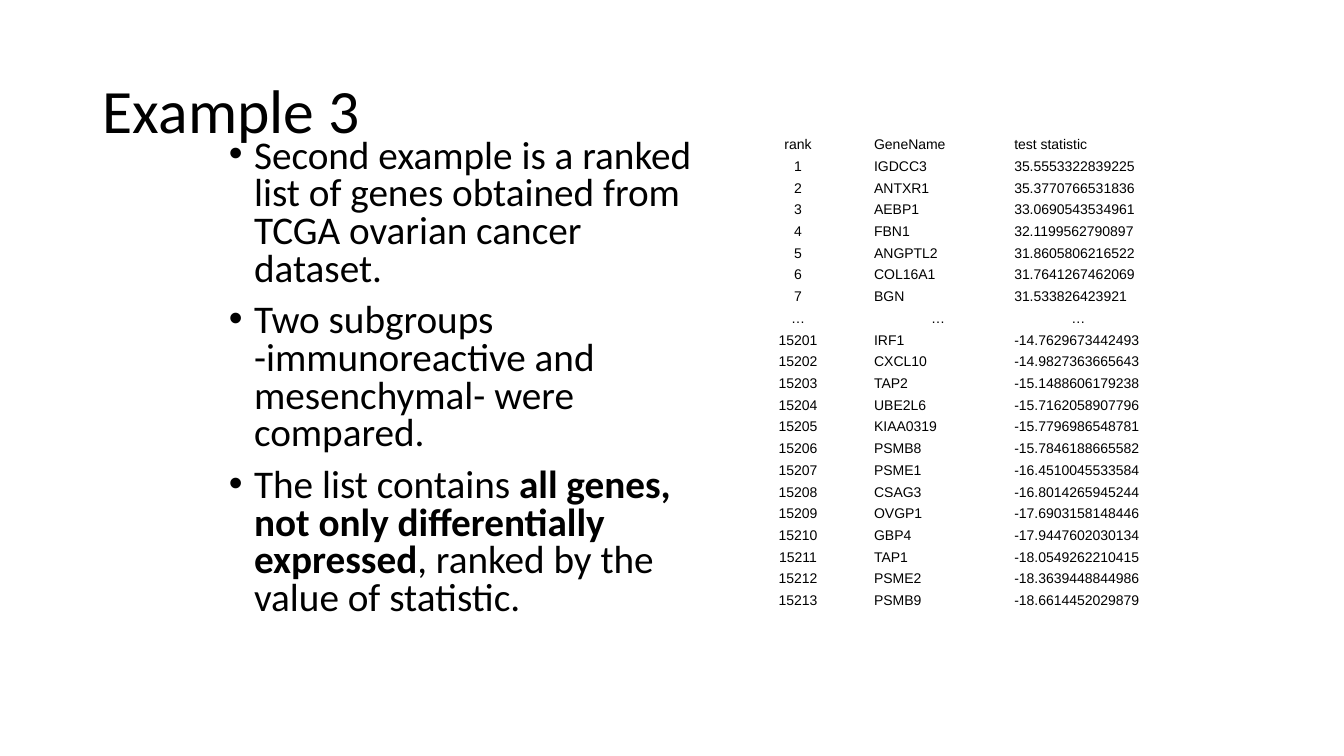
from pptx import Presentation
from pptx import util as u
from pptx.dml import color
from pptx.enum import text

HUES = {"ink": "000000"}
ALIGN = text.PP_ALIGN
MID = text.MSO_ANCHOR.MIDDLE

POINTS = [
    [("Second example is a ranked list of genes obtained from TCGA ovarian cancer dataset.", False)],
    [("Two subgroups -immunoreactive and mesenchymal- were compared.", False)],
    [("The list contains", False),
     (" all genes, not only differentially expressed", True),
     (", ranked by the value of statistic.", False)],
]
TOP = [
    ("IGDCC3", "35.5553322839225"),
    ("ANTXR1", "35.3770766531836"),
    ("AEBP1", "33.0690543534961"),
    ("FBN1", "32.1199562790897"),
    ("ANGPTL2", "31.8605806216522"),
    ("COL16A1", "31.7641267462069"),
    ("BGN", "31.533826423921"),
]
LAST = [
    ("IRF1", "-14.7629673442493"),
    ("CXCL10", "-14.9827363665643"),
    ("TAP2", "-15.1488606179238"),
    ("UBE2L6", "-15.7162058907796"),
    ("KIAA0319", "-15.7796986548781"),
    ("PSMB8", "-15.7846188665582"),
    ("PSME1", "-16.4510045533584"),
    ("CSAG3", "-16.8014265945244"),
    ("OVGP1", "-17.6903158148446"),
    ("GBP4", "-17.9447602030134"),
    ("TAP1", "-18.0549262210415"),
    ("PSME2", "-18.3639448844986"),
    ("PSMB9", "-18.6614452029879"),
]


def write(para, words, size=28, font="Calibri", bold=False, hue="ink",
          align=ALIGN.LEFT, line=None, before=None):
    run = para.add_run()
    run.text = words
    run.font.size = u.Pt(size)
    run.font.name = font
    run.font.bold = bold
    run.font.color.rgb = color.RGBColor.from_string(HUES[hue])
    para.alignment = align
    if line is not None:
        para.line_spacing = line
    if before is not None:
        para.space_before = u.Pt(before)


def place(shape, box):
    shape.left, shape.top, shape.width, shape.height = map(u.Inches, box)


def add_title(slide, box):
    title = slide.shapes.title
    place(title, box)
    frame = title.text_frame
    frame.auto_size = text.MSO_AUTO_SIZE.NONE
    frame.vertical_anchor = MID
    write(frame.paragraphs[0], "Example 3", size=44, line=0.9)


def add_points(slide, box):
    body = slide.placeholders[1]
    place(body, box)
    frame = body.text_frame
    frame.auto_size = text.MSO_AUTO_SIZE.NONE
    for i, point in enumerate(POINTS):
        para = frame.add_paragraph() if i else frame.paragraphs[0]
        props = para._p.get_or_add_pPr()
        props.set("marL", str(u.Inches(0.25)))
        props.set("indent", str(u.Inches(-0.25)))
        for words, bold in point:
            write(para, words, bold=bold, line=0.8, before=10)


def add_genes(slide, box):
    rows = [("rank", "GeneName", "test statistic")]
    rows += [(str(n), *gene) for n, gene in enumerate(TOP, 1)]
    rows.append(("…",) * 3)
    rows += [(str(n), *gene) for n, gene in enumerate(LAST, 15201)]
    frame = slide.shapes.add_table(len(rows), 3, *map(u.Inches, box))
    table = frame.table
    table.first_row = table.horz_banding = False
    for r, row in enumerate(rows):
        table.rows[r].height = u.Inches(0.19)
        for c, words in enumerate(row):
            cell = table.cell(r, c)
            cell.fill.background()
            cell.vertical_anchor = MID
            cell.margin_left = cell.margin_right = u.Inches(0.06)
            cell.margin_top = cell.margin_bottom = u.Inches(0.03)
            mid = c == 0 or words == "…"
            write(cell.text_frame.paragraphs[0], words, size=10, font="Arial",
                  align=ALIGN.CENTER if mid else ALIGN.LEFT)
    place(frame, box)


def main():
    deck = Presentation()
    deck.slide_width, deck.slide_height = u.Inches(13.33), u.Inches(7.5)
    slide = deck.slides.add_slide(deck.slide_layouts[1])
    add_title(slide, (0.92, 0.4, 11.5, 1.45))
    add_points(slide, (2.17, 1.33, 4.89, 5.36))
    add_genes(slide, (7.22, 1.33, 4.17, 5.01))
    deck.save("out.pptx")


if __name__ == "__main__":
    main()
